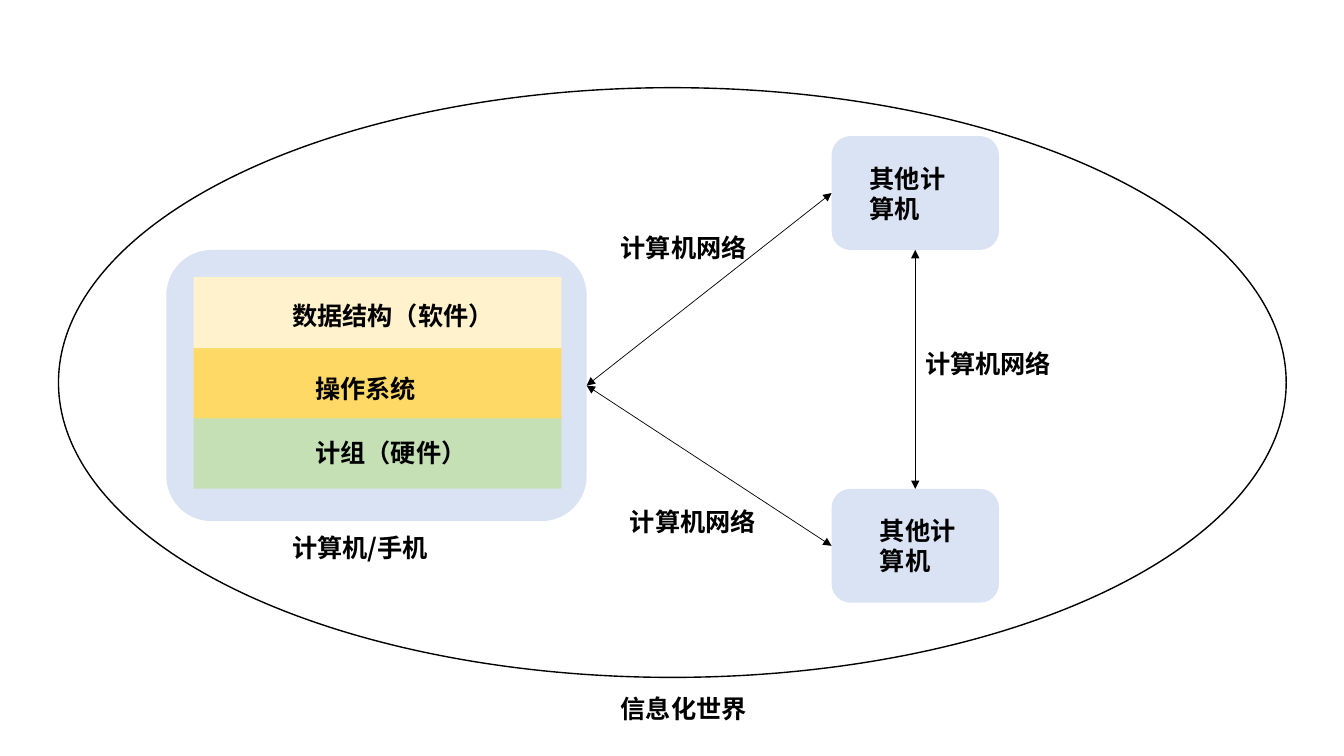
from dataclasses import dataclass

from lxml.etree import SubElement
from pptx import Presentation
from pptx.dml.color import RGBColor
from pptx.enum.shapes import MSO_CONNECTOR, MSO_SHAPE
from pptx.enum.text import MSO_AUTO_SIZE
from pptx.oxml.ns import qn
from pptx.shapes.autoshape import Shape
from pptx.slide import Slide
from pptx.util import Inches, Length, Pt

# The slide is a grid of 160 columns by 90 rows
COLUMNS, ROWS = 160, 90
SLIDE_WIDTH, SLIDE_HEIGHT = Inches(13.33), Inches(7.5)
TOP, LEFT, BOTTOM, RIGHT = range(4)


@dataclass(frozen=True)
class Theme:
    font: str = "Noto Sans CJK SC"
    text_size: Length = Pt(18)
    ink: str = "000000"
    device: str = "DAE3F3"
    software: str = "FFF2CC"
    system: str = "FFD966"
    hardware: str = "C5E0B4"
    arrow_width: Length = Pt(0.5)
    outline_width: Length = Pt(1)


@dataclass(frozen=True)
class Box:
    column: float
    row: float
    width: float
    height: float

    def lengths(self) -> tuple[int, int, int, int]:
        return (
            round(self.column * SLIDE_WIDTH / COLUMNS),
            round(self.row * SLIDE_HEIGHT / ROWS),
            round(self.width * SLIDE_WIDTH / COLUMNS),
            round(self.height * SLIDE_HEIGHT / ROWS),
        )


@dataclass(frozen=True)
class Label:
    text: str
    column: float
    row: float
    width: float = 21.36
    height: float = 4.8
    wrap: bool = True


THEME = Theme()

LAYER_COLORS = (THEME.software, THEME.system, THEME.hardware)
LAYER_COLUMN, LAYER_ROW, LAYER_WIDTH = 23.04, 33, 43.8
LAYER_HEIGHT, LAYER_STEP = 8.46, 8.36

COMPUTER = Box(19.8, 29.76, 50.04, 32.28)
UPPER_PEER = Box(99, 16.2, 19.92, 13.56)
LOWER_PEER = Box(99, 58.2, 19.92, 13.56)
WORLD = Box(6.96, 10.44, 146.16, 70.2)

LABELS = (
    Label("数据结构（软件）", 33.6, 35.16, width=26.88),
    Label("操作系统", 36.36, 43.8),
    Label("计组（硬件）", 36.36, 51.48),
    Label("计算机/手机", 33.6, 62.76),
    Label("其他计算机", 102.36, 18.84, width=13.2, height=8.52),
    Label("其他计算机", 103.56, 60.72, width=13.2, height=8.52),
    Label("计算机网络", 72.72, 27.12),
    Label("计算机网络", 73.8, 59.64),
    Label("计算机网络", 108.96, 40.92),
    Label("信息化世界", 72.72, 81.96, width=17.52, wrap=False),
)


def add_filled_shape(slide: Slide, kind: MSO_SHAPE, box: Box, color: str) -> Shape:
    shape = slide.shapes.add_shape(kind, *box.lengths())
    shape.shadow.inherit = False
    shape.fill.solid()
    shape.fill.fore_color.rgb = RGBColor.from_string(color)
    shape.line.fill.background()
    return shape


def add_world(slide: Slide) -> None:
    shape = slide.shapes.add_shape(MSO_SHAPE.OVAL, *WORLD.lengths())
    shape.shadow.inherit = False
    shape.fill.background()
    shape.line.color.rgb = RGBColor.from_string(THEME.ink)
    shape.line.width = THEME.outline_width


def add_network_link(
    slide: Slide, start: Shape, start_side: int, end: Shape, end_side: int
) -> None:
    connector = slide.shapes.add_connector(MSO_CONNECTOR.STRAIGHT, 0, 0, 0, 0)
    connector.begin_connect(start, start_side)
    connector.end_connect(end, end_side)
    connector.line.color.rgb = RGBColor.from_string(THEME.ink)
    connector.line.width = THEME.arrow_width
    line = connector.line._get_or_add_ln()
    for arrowhead in ("a:headEnd", "a:tailEnd"):
        SubElement(line, qn(arrowhead), type="triangle")
    SubElement(connector._element.spPr, qn("a:effectLst"))


def add_label(slide: Slide, label: Label) -> None:
    box = Box(label.column, label.row, label.width, label.height)
    text_frame = slide.shapes.add_textbox(*box.lengths()).text_frame
    text_frame.text = label.text
    text_frame.word_wrap = label.wrap
    text_frame.auto_size = MSO_AUTO_SIZE.SHAPE_TO_FIT_TEXT
    run = text_frame.paragraphs[0].runs[0]
    run.font.size = THEME.text_size
    run.font.bold = True
    run.font.color.rgb = RGBColor.from_string(THEME.ink)
    run.font.name = THEME.font
    # Chinese characters take the East Asian typeface
    SubElement(run.font._element, qn("a:ea"), typeface=THEME.font)


def main() -> None:
    presentation = Presentation()
    presentation.slide_width = SLIDE_WIDTH
    presentation.slide_height = SLIDE_HEIGHT
    slide = presentation.slides.add_slide(presentation.slide_layouts[6])

    # Computer with its layers, stacked from the hardware up
    computer = add_filled_shape(
        slide, MSO_SHAPE.ROUNDED_RECTANGLE, COMPUTER, THEME.device
    )
    for index, color in reversed(list(enumerate(LAYER_COLORS))):
        row = LAYER_ROW + index * LAYER_STEP
        layer = Box(LAYER_COLUMN, row, LAYER_WIDTH, LAYER_HEIGHT)
        add_filled_shape(slide, MSO_SHAPE.RECTANGLE, layer, color)

    # Other computers
    upper_peer, lower_peer = (
        add_filled_shape(slide, MSO_SHAPE.ROUNDED_RECTANGLE, box, THEME.device)
        for box in (UPPER_PEER, LOWER_PEER)
    )

    # Network between the computers
    add_network_link(slide, computer, RIGHT, upper_peer, LEFT)
    add_network_link(slide, computer, RIGHT, lower_peer, LEFT)
    add_network_link(slide, upper_peer, BOTTOM, lower_peer, TOP)

    # Surrounding world and all captions
    add_world(slide)
    for label in LABELS:
        add_label(slide, label)

    presentation.save("out.pptx")


if __name__ == "__main__":
    main()
